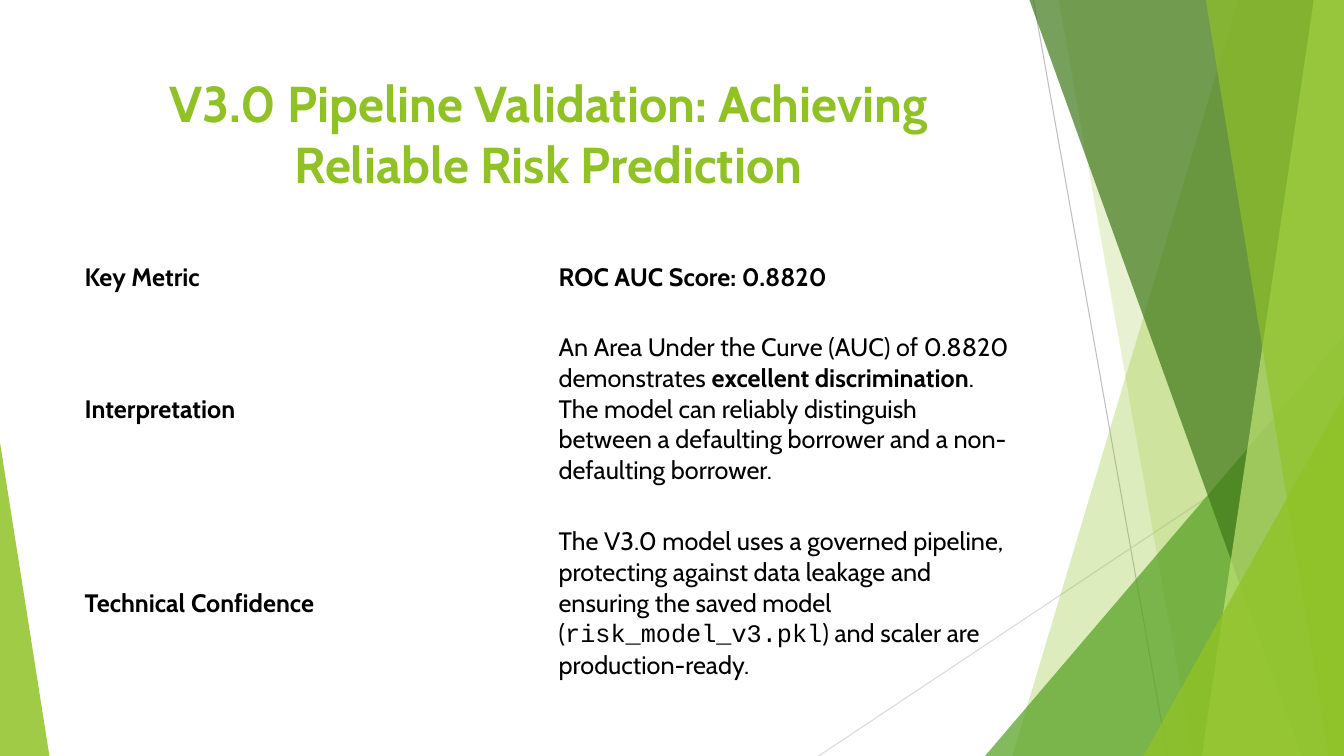
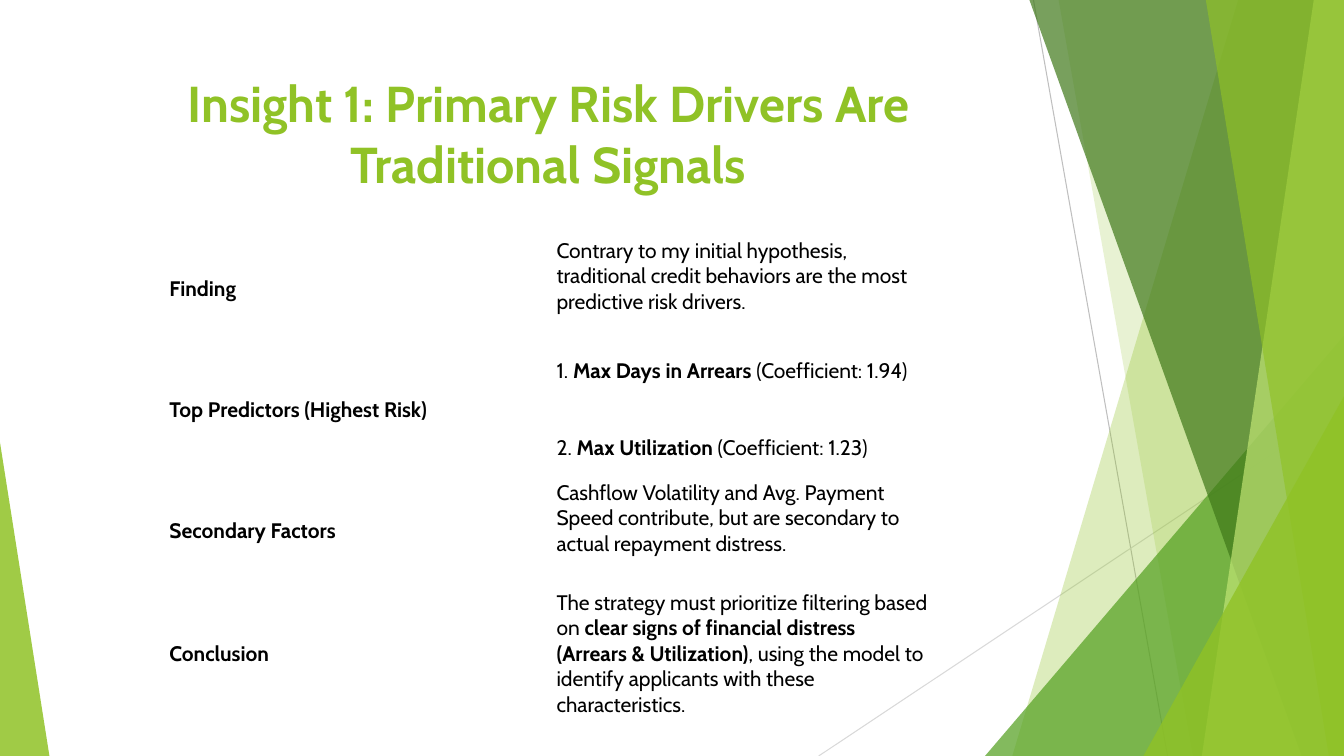
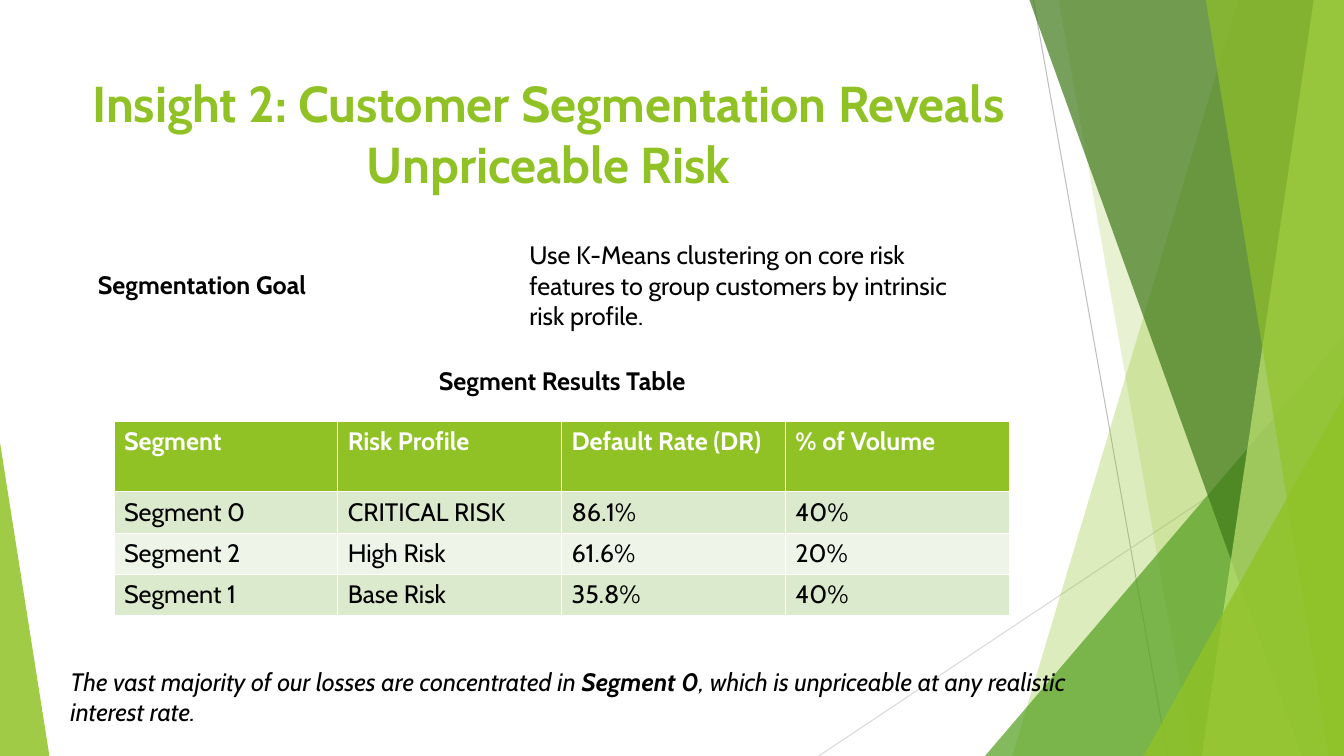
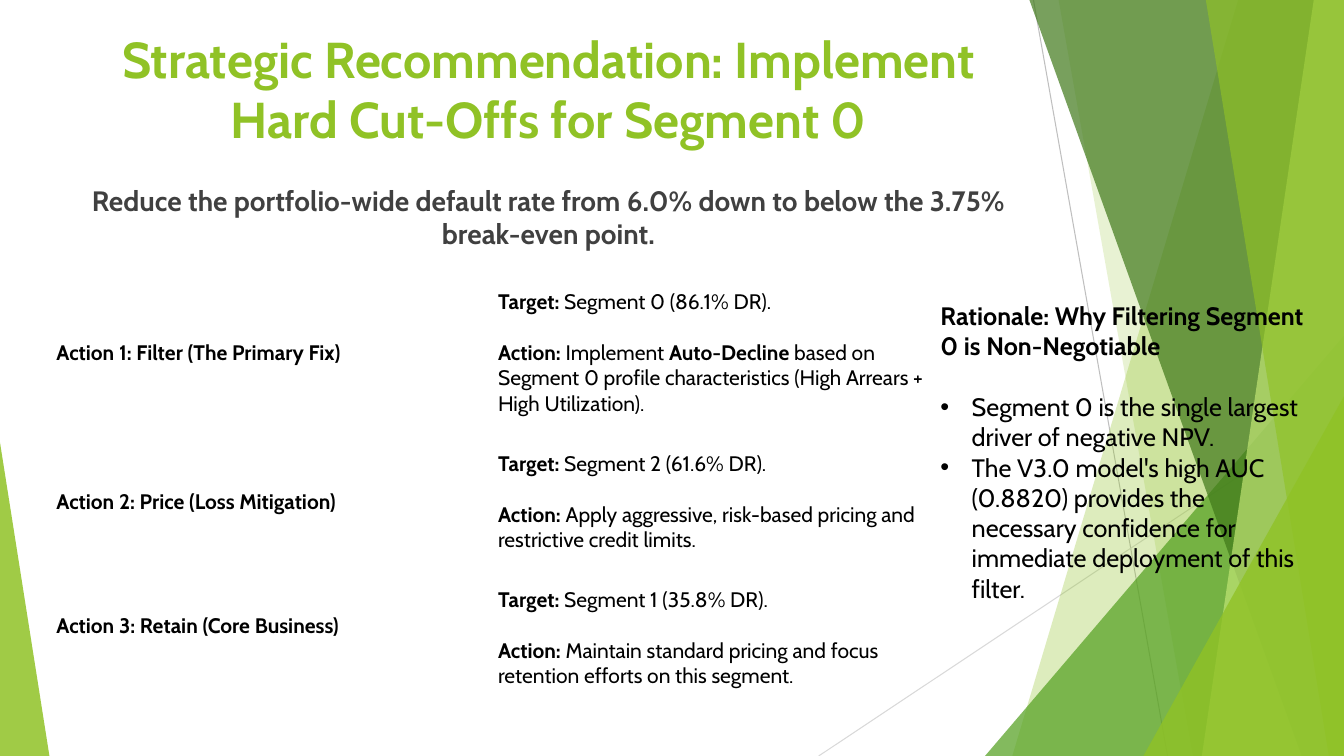
import dataclasses

import lxml.etree
import pptx
import pptx.dml.color
import pptx.enum.shapes
import pptx.enum.text
import pptx.oxml.ns
import pptx.util

Inches = pptx.util.Inches
Pt = pptx.util.Pt
RGB = pptx.dml.color.RGBColor.from_string
qn = pptx.oxml.ns.qn
ALIGN = pptx.enum.text.PP_ALIGN
ANCHOR = pptx.enum.text.MSO_ANCHOR


@dataclasses.dataclass(frozen=True)
class Theme:
    width: float = 13.33
    height: float = 7.5
    font: str = "Cabin"
    code_font: str = "Courier New"
    green: str = "90C226"
    leaf: str = "54A021"
    forest: str = "3F7819"
    lime: str = "C0E474"
    white: str = "FFFFFF"
    black: str = "000000"
    grey: str = "404040"
    line: str = "BFBFBF"
    faint_line: str = "D9D9D9"
    row_dark: str = "DBE9CD"
    row_light: str = "EEF4E8"
    title: int = 36
    subtitle: int = 20
    body: int = 18
    compact: int = 15
    line_height: float = 1.22
    no_style: str = "{2D5ABB26-0587-4C30-8999-92F81FD0307C}"


T = Theme()
TITLE_BOX = (0.74, 0.67, 9.4, 1.44)


def inches(values):
    return [Inches(v) for v in values]


# Text

def write(p, text, size, color=T.black, align=None, bold=False, italic=False, before=0):
    """Fill a paragraph; **...** marks bold and `...` marks code."""
    p.alignment = align
    p.space_before = Pt(before)
    p.font.name, p.font.size = T.font, Pt(size)
    p.font.bold, p.font.italic = bold, italic
    p.font.color.rgb = RGB(color)
    for i, part in enumerate(text.split("**")):
        for j, piece in enumerate(part.split("`")):
            if piece:
                r = p.add_run()
                r.text = piece
                if i % 2:
                    r.font.bold = True
                if j % 2:
                    r.font.name = T.code_font


def add_text(s, box, text, size, **style):
    tf = s.shapes.add_textbox(*inches(box)).text_frame
    tf.word_wrap = True
    write(tf.paragraphs[0], text, size, **style)
    return tf


def add_bullet(tf, text, size, before=0, indent=0.31):
    p = tf.add_paragraph()
    write(p, text, size, before=before)
    ppr = p._p.get_or_add_pPr()
    ppr.set("marL", str(Inches(indent)))
    ppr.set("indent", str(-Inches(indent)))
    font = lxml.etree.Element(qn("a:buFont"), typeface="Arial")
    mark = lxml.etree.Element(qn("a:buChar"), char="•")
    defaults = ppr.find(qn("a:defRPr"))
    defaults.addprevious(font)
    defaults.addprevious(mark)


# Backdrop

def paint(sp, color, opacity):
    sp.shadow.inherit = False
    sp.line.fill.background()
    sp.fill.solid()
    sp.fill.fore_color.rgb = RGB(color)
    clr = sp.element.find(".//" + qn("a:srgbClr"))
    lxml.etree.SubElement(clr, qn("a:alpha"), val=str(opacity * 1000))


def add_band(s, top_x, bottom_x, color, opacity):
    """Slanted left edge, filled to the right side of the slide."""
    corners = [(T.width, 0), (T.width, T.height), (bottom_x, T.height)]
    builder = s.shapes.build_freeform(Inches(top_x), 0)
    builder.add_line_segments([inches(c) for c in corners], close=True)
    paint(builder.convert_to_shape(), color, opacity)


def add_corner(s, left, top, width, apex, color, opacity):
    """Right triangle standing on the bottom of the slide."""
    sp = s.shapes.add_shape(pptx.enum.shapes.MSO_SHAPE.ISOSCELES_TRIANGLE,
                            *inches((left, top, width, T.height - top)))
    sp.adjustments[0] = apex
    paint(sp, color, opacity)


def add_line(s, ends, color):
    c = s.shapes.add_connector(pptx.enum.shapes.MSO_CONNECTOR.STRAIGHT, *inches(ends))
    c.line.color.rgb = RGB(color)
    c.line.width = Pt(0.75)
    lxml.etree.SubElement(c.element.find(qn("p:spPr")), qn("a:effectLst"))


def add_backdrop(s):
    add_line(s, (10.25, 0, 11.58, T.height), T.line)
    add_line(s, (T.width, 4.03, 8.12, T.height), T.faint_line)
    add_band(s, 12.28, 10.04, T.green, 30)
    add_band(s, 10.5, 11.83, T.green, 20)
    add_corner(s, 9.77, 3.33, 3.56, 1, T.leaf, 72)
    add_band(s, 10.21, 12.91, T.forest, 70)
    add_band(s, 13.03, 11.92, T.lime, 70)
    add_band(s, 11.96, 13.18, T.green, 65)
    add_corner(s, 11.34, 3.93, 1.99, 1, T.green, 80)
    add_corner(s, 0, 4.39, 0.49, 0, T.green, 85)


def new_slide(prs, title, box=TITLE_BOX):
    s = prs.slides.add_slide(prs.slide_layouts[6])
    add_backdrop(s)
    add_text(s, box, title, T.title, color=T.green, align=ALIGN.CENTER, bold=True)
    return s


# Tables

def add_grid(s, left, top, col_widths, row_heights):
    box = inches((left, top, sum(col_widths), sum(row_heights)))
    gf = s.shapes.add_table(len(row_heights), len(col_widths), *box)
    for col, w in zip(gf.table.columns, col_widths):
        col.width = Inches(w)
    for row, h in zip(gf.table.rows, row_heights):
        row.height = Inches(h)
    return gf


def add_label_table(s, left, top, col_widths, rows, size, inset=(0.1, 0.05), gap=0):
    """Unruled table of bold labels and texts.

    Each row is (height, label, paragraphs, shift): shift moves the text
    up (negative) or down by padding the opposite side; gap is in lines.
    """
    gf = add_grid(s, left, top, col_widths, [row[0] for row in rows])
    gf.element.find(".//" + qn("a:tableStyleId")).text = T.no_style
    gf.table.first_row = gf.table.horz_banding = False
    for i, (_, label, paragraphs, shift) in enumerate(rows):
        name, detail = gf.table.cell(i, 0), gf.table.cell(i, 1)
        for cell in (name, detail):
            cell.vertical_anchor = ANCHOR.MIDDLE
            cell.margin_left = cell.margin_right = Inches(inset[0])
            cell.margin_top = cell.margin_bottom = Inches(inset[1])
        detail.margin_top = Inches(inset[1] + max(shift, 0))
        detail.margin_bottom = Inches(inset[1] + max(-shift, 0))
        write(name.text_frame.paragraphs[0], label, size, bold=True)
        tf = detail.text_frame
        for j, text in enumerate(paragraphs):
            p = tf.add_paragraph() if j else tf.paragraphs[0]
            write(p, text, size, before=gap * size * T.line_height if j else 0)


def add_data_table(s, left, top, col_widths, row_heights, rows):
    table = add_grid(s, left, top, col_widths, row_heights).table
    for i, row in enumerate(rows):
        head = i == 0
        fill = T.green if head else (T.row_dark if i % 2 else T.row_light)
        for j, text in enumerate(row):
            cell = table.cell(i, j)
            cell.fill.solid()
            cell.fill.fore_color.rgb = RGB(fill)
            write(cell.text_frame.paragraphs[0], text, T.body,
                  color=T.white if head else T.black, bold=head)


# Slides

def validation_slide(prs):
    s = new_slide(prs, "V3.0 Pipeline Validation: Achieving Reliable Risk Prediction")
    add_label_table(s, 0.74, 2.54, [4.7, 4.7], [
        (0.42, "Key Metric", ["**ROC AUC Score: 0.8820**"], 0),
        (2.2, "Interpretation",
         ["An Area Under the Curve (AUC) of 0.8820 demonstrates **excellent discrimination**. "
          "The model can reliably distinguish between a defaulting borrower and a "
          "non-defaulting borrower."], 0),
        (1.66, "Technical Confidence",
         ["The V3.0 model uses a governed pipeline, protecting against data leakage and "
          "ensuring the saved model (`risk_model_v3.pkl`) and scaler are production-ready."], 0),
    ], T.body)


def drivers_slide(prs):
    s = new_slide(prs, "Insight 1: Primary Risk Drivers Are Traditional Signals")
    add_label_table(s, 1.6, 2.32, [3.84, 3.84], [
        (1.09, "Finding",
         ["Contrary to my initial hypothesis, traditional credit behaviors are the most "
          "predictive risk drivers."], -0.25),
        (1.31, "Top Predictors (Highest Risk)",
         ["1. **Max Days in Arrears** (Coefficient: 1.94)",
          "2. **Max Utilization** (Coefficient: 1.23)"], 0),
        (1.09, "Secondary Factors",
         ["Cashflow Volatility and Avg. Payment Speed contribute, but are secondary to "
          "actual repayment distress."], -0.25),
        (1.35, "Conclusion",
         ["The strategy must prioritize filtering based on **clear signs of financial "
          "distress (Arrears & Utilization)**, using the model to identify applicants "
          "with these characteristics."], 0),
    ], T.compact, inset=(0.08, 0.04), gap=2)


def segments_slide(prs):
    s = new_slide(prs, "Insight 2: Customer Segmentation Reveals Unpriceable Risk")
    add_label_table(s, 0.87, 2.33, [4.28, 4.64], [
        (1, "Segmentation Goal",
         ["Use K-Means clustering on core risk features to group customers by intrinsic "
          "risk profile."], 0),
    ], T.body)
    add_data_table(s, 1.13, 4.18, [2.22] * 4, [0.7] + [0.41] * 3, [
        ("Segment", "Risk Profile", "Default Rate (DR)", "% of Volume"),
        ("Segment 0", "CRITICAL RISK", "86.1%", "40%"),
        ("Segment 2", "High Risk", "61.6%", "20%"),
        ("Segment 1", "Base Risk", "35.8%", "40%"),
    ])
    add_text(s, (1.13, 3.57, 8.89, 0.41), "Segment Results Table", T.body,
             align=ALIGN.CENTER, bold=True)
    add_text(s, (0.6, 6.56, 10.19, 0.71),
             "The vast majority of our losses are concentrated in **Segment 0**, which is "
             "unpriceable at any realistic interest rate.", T.body, italic=True)


def add_rationale(s, box):
    tf = add_text(s, box, "Rationale: Why Filtering Segment 0 is Non-Negotiable",
                  T.body, bold=True)
    add_bullet(tf, "Segment 0 is the single largest driver of negative NPV.", T.body,
               before=T.body * T.line_height)
    add_bullet(tf, "The V3.0 model's high AUC (0.8820) provides the necessary confidence "
                   "for immediate deployment of this filter.", T.body)


def recommendation_slide(prs):
    s = new_slide(prs, "Strategic Recommendation: Implement Hard Cut-Offs for Segment 0",
                  (0.74, 0.23, 9.4, 1.44))
    add_text(s, (0.74, 1.77, 9.4, 0.8),
             "Reduce the portfolio-wide default rate from 6.0% down to below the 3.75% "
             "break-even point.", T.subtitle, color=T.grey, align=ALIGN.CENTER, bold=True)
    add_label_table(s, 0.48, 2.57, [4.38, 4.38], [
        (1.86, "Action 1: Filter (The Primary Fix)",
         ["**Target:** Segment 0 (86.1% DR).",
          "**Action:** Implement **Auto-Decline** based on Segment 0 profile "
          "characteristics (High Arrears + High Utilization)."], 0),
        (1.1, "Action 2: Price (Loss Mitigation)",
         ["**Target:** Segment 2 (61.6% DR).",
          "**Action:** Apply aggressive, risk-based pricing and restrictive credit "
          "limits."], 0),
        (1.35, "Action 3: Retain (Core Business)",
         ["**Target:** Segment 1 (35.8% DR).",
          "**Action:** Maintain standard pricing and focus retention efforts on this "
          "segment."], 0.25),
    ], T.compact, inset=(0.08, 0.04), gap=1)
    add_rationale(s, (9.23, 2.93, 3.86, 3.74))


def main():
    prs = pptx.Presentation()
    prs.slide_width, prs.slide_height = inches((T.width, T.height))
    for build in (validation_slide, drivers_slide, segments_slide, recommendation_slide):
        build(prs)
    prs.save("out.pptx")


if __name__ == "__main__":
    main()
